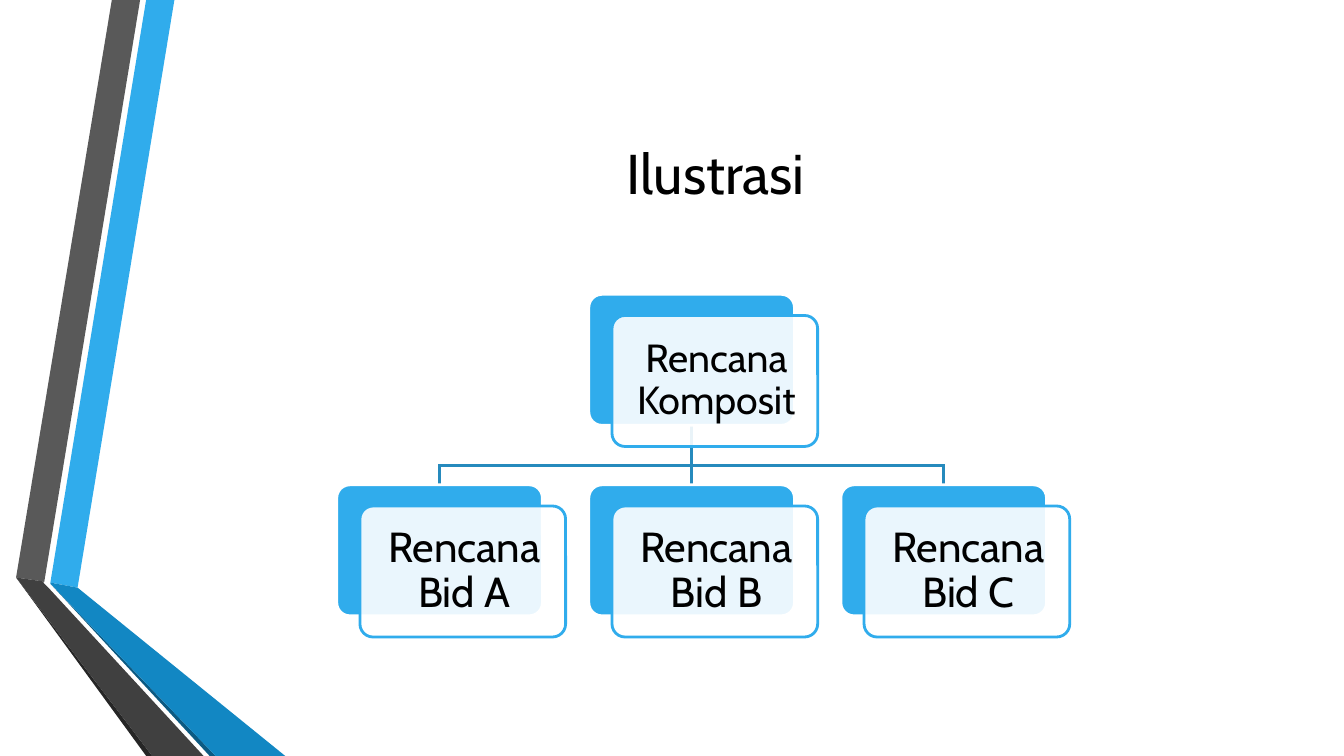
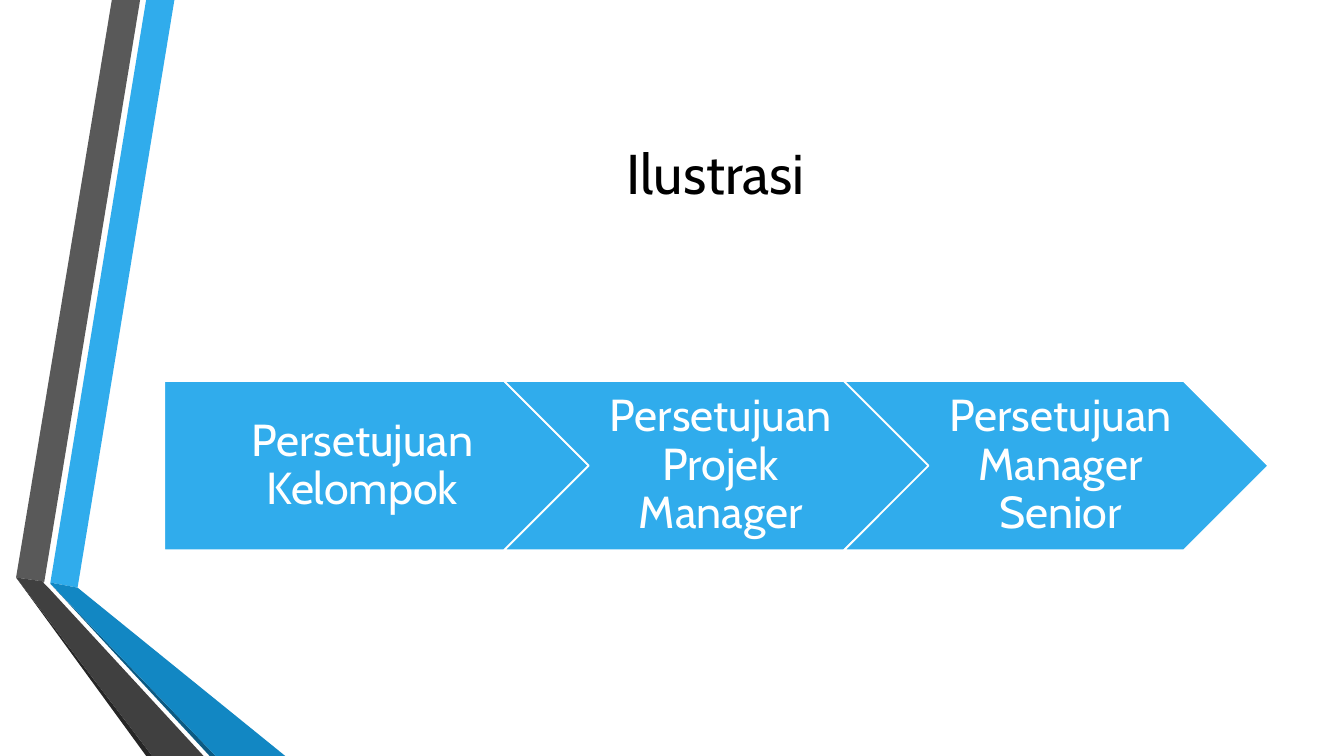
from lxml import etree
from pptx import Presentation
from pptx import util as u
from pptx.dml.color import RGBColor
from pptx.enum import shapes, text
from pptx.oxml import ns

PX = 9144
FONT = "Cabin"
BLUE, BLACK, WHITE, LINK = "30ACEC", "000000", "FFFFFF", "268ABD"
BANDS = [
    (BLUE, [(50, 578), (77, 583), (173, 0), (145, 0)]),
    ("595959", [(139, 0), (111, 0), (16, 573), (44, 577)]),
    ("262626", [(16, 573), (145, 750), (151, 750)]),
    ("0C5A82", [(50, 579), (208, 750), (214, 750)]),
    ("1287C3", [(50, 579), (214, 750), (283, 750), (77, 583), (50, 578)]),
    ("404040", [(202, 750), (48, 583), (43, 578), (44, 577), (16, 573), (151, 750)]),
]


def rgb(value):
    return RGBColor.from_string(value)


def px(*lengths):
    return [u.Emu(length * PX) for length in lengths]


class Deck:
    def __init__(self):
        self.prs = Presentation()
        self.prs.slide_width, self.prs.slide_height = px(1333, 750)
        self.slide = None

    def new_slide(self, title):
        self.slide = self.prs.slides.add_slide(self.prs.slide_layouts[6])
        for colour, points in BANDS:
            self.band(colour, points)
        heading = self.slide.shapes.add_textbox(*px(162, 75, 1096, 192))
        self.label(heading, title, 40, BLACK, (10, 5, 10, 5))

    def band(self, colour, points):
        outline = self.slide.shapes.build_freeform(*points[0], scale=PX)
        outline.add_line_segments(points[1:], close=True)
        band = outline.convert_to_shape()
        band.shadow.inherit = False
        band.fill.solid()
        band.fill.fore_color.rgb = rgb(colour)
        band.line.fill.background()

    def label(self, shape, words, size, colour, insets, spacing=1.0):
        frame = shape.text_frame
        frame.word_wrap = True
        frame.vertical_anchor = text.MSO_ANCHOR.MIDDLE
        (frame.margin_left, frame.margin_top,
         frame.margin_right, frame.margin_bottom) = px(*insets)
        paragraph = frame.paragraphs[0]
        paragraph.text = words
        paragraph.alignment = text.PP_ALIGN.CENTER
        paragraph.line_spacing = spacing
        paragraph.font.name = FONT
        paragraph.font.size = u.Pt(size)
        paragraph.font.color.rgb = rgb(colour)

    def block(self, preset, box, fill, line, width, opacity=100):
        block = self.slide.shapes.add_shape(preset, *px(*box))
        block.shadow.inherit = False
        block.fill.solid()
        block.fill.fore_color.rgb = rgb(fill)
        block.line.color.rgb = rgb(line)
        block.line.width = u.Pt(width)
        if opacity < 100:
            tint = block._element.spPr.find(ns.qn("a:solidFill"))[0]
            etree.SubElement(tint, ns.qn("a:alpha"), val=str(opacity * 1000))
        return block

    def card(self, left, top, words, size):
        rounded = shapes.MSO_SHAPE.ROUNDED_RECTANGLE
        back = self.block(rounded, (left, top, 204, 130), BLUE, WHITE, 2)
        front = self.block(rounded, (left + 23, top + 21, 204, 130), WHITE, BLUE, 2, 90)
        for layer in (back, front):
            layer.adjustments[0] = 0.1
        self.label(front, words, size, BLACK, (16, 16, 13, 16), 0.9)
        return back

    def link(self, x1, y1, x2, y2):
        link = self.slide.shapes.add_connector(
            shapes.MSO_CONNECTOR.STRAIGHT, *px(x1, y1, x2, y2))
        link.line.color.rgb = rgb(LINK)
        link.line.width = u.Pt(2)
        properties = link._element.spPr
        properties.ln.set("cap", "sq")
        etree.SubElement(properties, ns.qn("a:effectLst"))
        return link

    def step(self, preset, left, words, inset):
        step = self.block(preset, (left, 378, 421, 168), BLUE, WHITE, 1.25)
        self.label(step, words, 32, WHITE, (inset, 9, 5, 9), 0.9)


def plan_tree(deck):
    deck.new_slide("Ilustrasi")
    lefts = [334 + 250 * column for column in range(3)]
    centres = [left + 102 for left in lefts]
    root_top, plan_top, bar = 292, 481, 462
    drops = [deck.link(x, root_top + 130 if x == centres[1] else bar, x, plan_top)
             for x in centres]
    deck.link(centres[0], bar, centres[-1], bar)
    root = deck.card(lefts[1], root_top, "Rencana Komposit", 28)
    drops[1].begin_connect(root, 2)
    for left, letter, drop in zip(lefts, "ABC", drops):
        plan = deck.card(left, plan_top, f"Rencana Bid {letter}", 30)
        drop.end_connect(plan, 0)


def approval_chain(deck):
    deck.new_slide("Ilustrasi")
    approvers = ["Kelompok", "Projek Manager", "Manager Senior"]
    for place, approver in enumerate(approvers):
        preset, inset = ((shapes.MSO_SHAPE.CHEVRON, 14) if place
                         else (shapes.MSO_SHAPE.PENTAGON, 19))
        deck.step(preset, 163 + 337 * place, f"Persetujuan {approver}", inset)


def main():
    deck = Deck()
    plan_tree(deck)
    approval_chain(deck)
    deck.prs.save("out.pptx")


if __name__ == "__main__":
    main()
